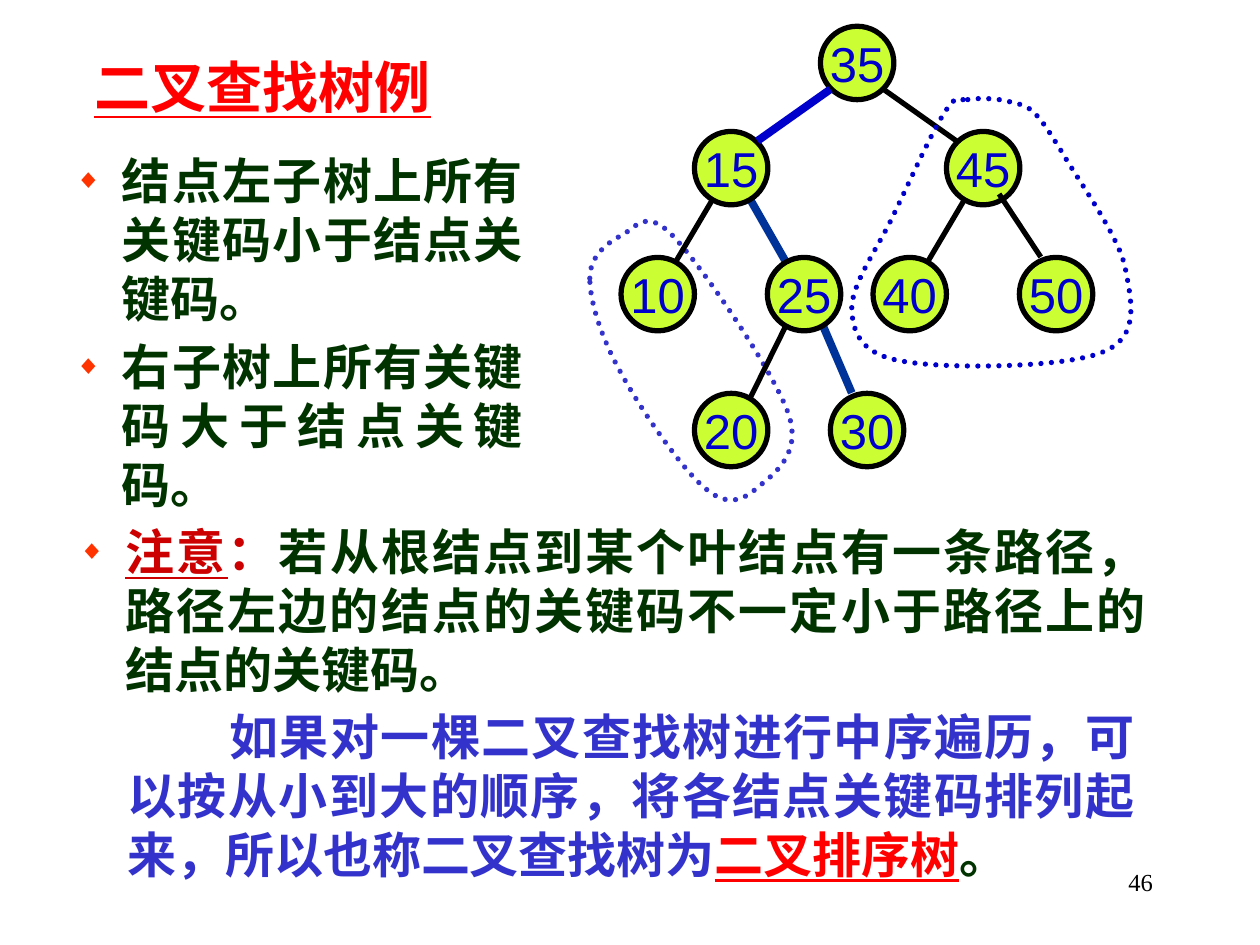
import lxml.etree
import pptx
import pptx.dml.color
import pptx.enum.dml
import pptx.enum.shapes
import pptx.enum.text
import pptx.oxml
import pptx.oxml.ns
import pptx.util

Cm, Pt = pptx.util.Cm, pptx.util.Pt
qn = pptx.oxml.ns.qn
ALIGN = pptx.enum.text.PP_ALIGN
MIDDLE = pptx.enum.text.MSO_ANCHOR.MIDDLE
BLUE, VIOLET, NAVY, BLACK = "0000CC", "3333CC", "003399", "000000"
GREEN, RED, DARK_RED = "003300", "FF0000", "CC0000"
BODY = {"size": Pt(28), "name": "Times New Roman", "bold": True}
TITLE = {**BODY, "size": Pt(32), "underline": True}
NUMBER = {"size": Pt(14), "name": "Times New Roman"}
NODE = {"size": Pt(28), "name": "Arial"}


def paint(color, hex_value):
    color.rgb = pptx.dml.color.RGBColor.from_string(hex_value)


def add_runs(p, align, runs, font):
    """Fill a paragraph with (text, colour, extra font values) runs."""
    p.alignment = align
    for text, color, extra in runs:
        r = p.add_run()
        r.text = text
        for name, value in {**font, **extra}.items():
            setattr(r.font, name, value)
        paint(r.font.color, color)


prs = pptx.Presentation()
prs.slide_width, prs.slide_height = Cm(25.4), Cm(19.05)
s = prs.slides.add_slide(prs.slide_layouts[5])
front = []  # elements that lie over the nodes

# Dotted loops: a start point, then Bezier segments (two controls and an end)
loops = [
    (VIOLET, (11.89, 5.61), [
        (11.89, 5.16), (12.24, 4.9), (12.52, 4.75),
        (12.8, 4.62), (13, 4.17), (13.56, 4.75),
        (14.15, 5.36), (15.62, 7.52), (15.9, 8.36),
        (16.18, 9.19), (15.54, 9.6), (15.27, 9.83),
        (14.99, 10.08), (14.66, 10.24), (14.2, 9.83),
        (13.74, 9.45), (12.9, 8.23), (12.52, 7.52),
        (12.12, 6.81), (11.89, 6.07), (11.89, 5.61)]),
    (BLUE, (19.51, 2.01), [
        (19.69, 1.98), (19.91, 1.98), (20.14, 2.01),
        (20.35, 2.06), (20.55, 2.06), (20.78, 2.21),
        (20.98, 2.39), (21.08, 2.54), (21.41, 3.07),
        (21.72, 3.61), (22.53, 4.72), (22.68, 5.38),
        (22.81, 6.07), (22.99, 6.78), (22.25, 7.09),
        (21.51, 7.42), (19.08, 7.44), (18.24, 7.29),
        (17.37, 7.16), (17.2, 6.73), (17.17, 6.25),
        (17.15, 5.74), (17.7, 5), (18.01, 4.34),
        (18.34, 3.66), (18.8, 2.62), (19.08, 2.21),
        (19.35, 1.83), (19.33, 2.06), (19.51, 2.01)]),
]
for color, start, points in loops:
    builder = s.shapes.build_freeform(*map(Cm, start))
    builder.add_line_segments([(Cm(x), Cm(y)) for x, y in points], close=True)
    loop = builder.convert_to_shape()
    loop.shadow.inherit = False
    loop.fill.background()
    paint(loop.line.color, color)
    loop.line.width = Pt(3)
    loop.line.dash_style = pptx.enum.dml.MSO_LINE.ROUND_DOT
    loop._element.spPr.find(qn("a:ln")).set("cap", "rnd")
    # Every three points make one cubic curve
    steps = list(loop._element.iter(qn("a:lnTo")))
    for i in range(0, len(steps), 3):
        curve = lxml.etree.Element(qn("a:cubicBezTo"))
        steps[i].addprevious(curve)
        for step in steps[i:i + 3]:
            curve.append(step[0])
            step.getparent().remove(step)
front_loop = loop

# Tree edges; the last value tells whether the edge lies over the nodes
edges = [
    (19.51, 3.91, 18.64, 5.38, BLACK, 3, False),
    (16.54, 6.45, 17.17, 7.92, NAVY, 4.5, False),
    (15.9, 6.45, 15.06, 8.15, BLACK, 3, False),
    (14.43, 3.91, 13.56, 5.38, BLACK, 3, False),
    (15.06, 3.91, 15.9, 5.38, NAVY, 4.5, False),
    (16.74, 1.8, 15.27, 2.84, BLUE, 4.5, True),
    (17.81, 1.8, 19.28, 2.84, BLACK, 3, True),
    (20.14, 3.91, 20.98, 5.18, BLACK, 3, True),
]
for x1, y1, x2, y2, color, width, over in edges:
    line = s.shapes.add_connector(pptx.enum.shapes.MSO_CONNECTOR.STRAIGHT,
                                  Cm(x1), Cm(y1), Cm(x2), Cm(y2))
    paint(line.line.color, color)
    line.line.width = Pt(width)
    lxml.etree.SubElement(line._element.spPr, qn("a:effectLst"))
    if over:
        front.append(line)

# Tree nodes, level by level: top, then key and left
levels = [
    (0.53, {"35": 16.54}),
    (2.65, {"15": 14, "45": 19.08}),
    (5.19, {"10": 12.52, "25": 15.47, "40": 17.6, "50": 20.55}),
    (7.93, {"20": 14, "30": 16.74}),
]
for top, nodes in levels:
    for key, left in nodes.items():
        sp = s.shapes.add_shape(pptx.enum.shapes.MSO_SHAPE.OVAL,
                                Cm(left), Cm(top), Cm(1.48), Cm(1.48))
        sp.shadow.inherit = False
        sp.fill.solid()
        paint(sp.fill.fore_color, "CCFF33")
        paint(sp.line.color, BLACK)
        sp.line.width = Pt(3)
        tf = sp.text_frame
        tf.word_wrap = False
        tf.vertical_anchor = MIDDLE
        add_runs(tf.paragraphs[0], ALIGN.CENTER, [(key, BLUE, {})], NODE)

# Title
title = s.shapes.title
title.left, title.top, title.width, title.height = Cm(1.65), Cm(0.79), Cm(8.31), Cm(1.9)
title.text_frame.vertical_anchor = MIDDLE
add_runs(title.text_frame.paragraphs[0], ALIGN.LEFT, [("二叉查找树例", RED, {})], TITLE)

for sp in front + [front_loop, title]:
    s.shapes._spTree.append(sp._element)

# Text boxes: place, alignment, font, first-line style, space before, paragraphs
underline = {"underline": True}
boxes = [
    ((1.26, 2.91, 9.53, 6.55), ALIGN.JUSTIFY, BODY, "bullet", 5.6, [
        [("结点左子树上所有关键码小于结点关键码。", GREEN, {})],
        [("右子树上所有关键码大于结点关键码。", GREEN, {})]]),
    ((1.33, 10.39, 22.02, 4.45), ALIGN.JUSTIFY, BODY, "bullet", 0, [
        [("注意", DARK_RED, underline),
         ("：", DARK_RED, {}),
         ("若从根结点到某个叶结点有一条路径，路径左边的结点的关键码不一定小于路径上的结点的关键码。", GREEN, {})]]),
    ((18.21, 17.35, 5.28, 1.27), ALIGN.RIGHT, NUMBER, "plain", 0, [
        [("46", BLACK, {})]]),
    ((2.32, 14.12, 20.8, 3.84), ALIGN.JUSTIFY, BODY, "indent", 0, [
        [("如果对一棵二叉查找树进行中序遍历，可以按从小到大的顺序，将各结点关键码排列起来，所以也称二叉查找树为", VIOLET, {}),
         ("二叉排序树", RED, underline),
         ("。", GREEN, {})]]),
]
BULLET = (
    '<a:buClr {0}><a:srgbClr val="FF3300"/></a:buClr>',
    '<a:buSzPct {0} val="55000"/>',
    '<a:buFont {0} typeface="Times New Roman"/>',
    '<a:buChar {0} char="◆"/>',
)
for place, align, font, style, before, paragraphs in boxes:
    tf = s.shapes.add_textbox(*map(Cm, place)).text_frame
    tf.word_wrap = True
    for i, runs in enumerate(paragraphs):
        p = tf.add_paragraph() if i else tf.paragraphs[0]
        add_runs(p, align, runs, font)
        p.space_before = Pt(before)
        pPr = p._p.get_or_add_pPr()
        pPr.set("hangingPunct", "0")
        if style == "bullet":
            pPr.set("marL", str(Cm(0.95)))
            pPr.set("indent", str(-Cm(0.95)))
            for xml in BULLET:
                pPr.append(pptx.oxml.parse_xml(xml.format(pptx.oxml.ns.nsdecls("a"))))
        elif style == "indent":
            pPr.set("indent", str(Cm(2.06)))

prs.save("out.pptx")
